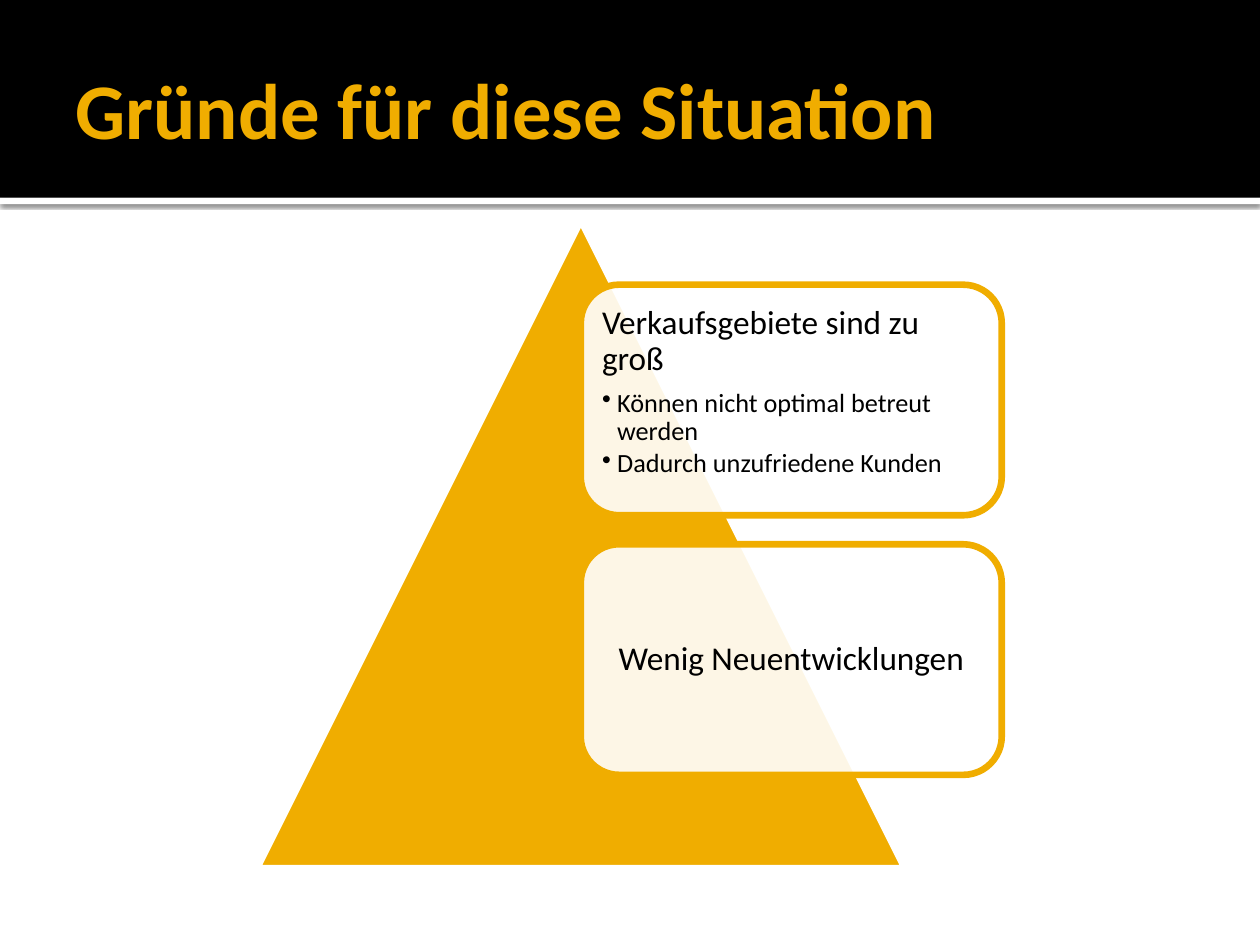
from dataclasses import dataclass

from lxml import etree
from pptx import Presentation
from pptx import util as u
from pptx.dml.color import RGBColor
from pptx.enum import shapes, text
from pptx.oxml import parse_xml
from pptx.oxml.ns import nsdecls, qn

In = u.Inches


@dataclass(frozen=True)
class Theme:
    accent: RGBColor = RGBColor(0xF0, 0xAD, 0x00)
    dark: RGBColor = RGBColor(0, 0, 0)
    light: RGBColor = RGBColor(0xFF, 0xFF, 0xFF)
    font: str = "Calibri"
    title: float = 45
    head: float = 19
    bullet: float = 15
    line: float = 3.78


T = Theme()
TITLE = "Gründe für diese Situation"
CARDS = [
    ("Verkaufsgebiete sind zu groß",
     ["Können nicht optimal betreut werden", "Dadurch unzufriedene Kunden"]),
    ("Wenig Neuentwicklungen", []),
]


def apply(obj, **values):
    for name, value in values.items():
        setattr(obj, name, value)


def add_shape(s, kind, box, fill, line=None):
    sp = s.shapes.add_shape(kind, *map(In, box))
    sp.shadow.inherit = False
    sp.fill.solid()
    sp.fill.fore_color.rgb = fill
    if line is None:
        sp.line.fill.background()
    else:
        sp.line.color.rgb = line
        sp.line.width = u.Pt(T.line)
    return sp


def set_margins(tf, left, others):
    apply(tf, margin_left=In(left), margin_right=In(others),
          margin_top=In(others), margin_bottom=In(others))


def add_header(s, box):
    x, y, w, h = box
    # White strip with a soft shadow below the dark band
    strip = add_shape(s, shapes.MSO_SHAPE.RECTANGLE, (x, y + h, w, 0.05), T.light)
    effects = strip._element.spPr.find(qn("a:effectLst"))
    effects.append(parse_xml(
        f'<a:outerShdw {nsdecls("a")} blurRad="{u.Pt(2.5)}" dist="{u.Pt(0.8)}" '
        'dir="5400000" rotWithShape="0"><a:srgbClr val="000000">'
        '<a:alpha val="60000"/></a:srgbClr></a:outerShdw>'))
    add_shape(s, shapes.MSO_SHAPE.RECTANGLE, box, T.dark)

    # Title, brought in front of the band
    title = s.shapes.title
    s.shapes._spTree.append(title._element)
    apply(title, left=In(x + 0.5), top=In(y + 0.17),
          width=In(w - 1), height=In(h - 0.2))
    tf = title.text_frame
    tf.text = TITLE
    set_margins(tf, 0.1, 0.05)
    apply(tf, word_wrap=True, auto_size=text.MSO_AUTO_SIZE.NONE,
          vertical_anchor=text.MSO_ANCHOR.MIDDLE)
    p = tf.paragraphs[0]
    p.alignment = text.PP_ALIGN.LEFT
    apply(p.runs[0].font, name=T.font, size=u.Pt(T.title), bold=True)
    p.runs[0].font.color.rgb = T.accent


def add_card_line(p, words, size, after, align, bullet=False):
    if bullet:
        pPr = p._p.get_or_add_pPr()
        pPr.set("marL", str(In(0.12)))
        pPr.set("indent", str(-In(0.12)))
        etree.SubElement(pPr, qn("a:buChar")).set("char", "•")
    apply(p, alignment=align, line_spacing=0.9,
          space_after=u.Pt(size * after), level=int(bullet))
    r = p.add_run()
    r.text = words
    apply(r.font, name=T.font, size=u.Pt(size))
    r.font.color.rgb = T.dark


def add_card(s, box, head, bullets):
    sp = add_shape(s, shapes.MSO_SHAPE.ROUNDED_RECTANGLE, box, T.light, T.accent)
    color = sp._element.spPr.find(qn("a:solidFill"))[0]
    etree.SubElement(color, qn("a:alpha")).set("val", "90000")
    tf = sp.text_frame
    set_margins(tf, 0.08, 0.08)
    anchor = text.MSO_ANCHOR.TOP if bullets else text.MSO_ANCHOR.MIDDLE
    align = text.PP_ALIGN.LEFT if bullets else text.PP_ALIGN.CENTER
    apply(tf, word_wrap=True, vertical_anchor=anchor)
    add_card_line(tf.paragraphs[0], head, T.head, 0.35, align)
    for words in bullets:
        add_card_line(tf.add_paragraph(), words, T.bullet, 0.15, align, bullet=True)


def add_pyramid(s, box):
    x, y, side, _ = box
    add_shape(s, shapes.MSO_SHAPE.ISOSCELES_TRIANGLE, box, T.accent, T.light)
    # Cards start at the triangle's axis
    card_w, card_h, pitch = side * 0.65, 1.83, 2.06
    for i, (head, bullets) in enumerate(CARDS):
        card = (x + side / 2, y + 0.51 + i * pitch, card_w, card_h)
        add_card(s, card, head, bullets)


def main():
    prs = Presentation()
    apply(prs, slide_width=In(10), slide_height=In(7.5))
    s = prs.slides.add_slide(prs.slide_layouts[5])
    s.background.fill.solid()
    s.background.fill.fore_color.rgb = T.light
    add_header(s, (0, 0, 10, 1.57))
    add_pyramid(s, (2.04, 1.75, 5.14, 5.14))
    prs.save("out.pptx")


if __name__ == "__main__":
    main()
